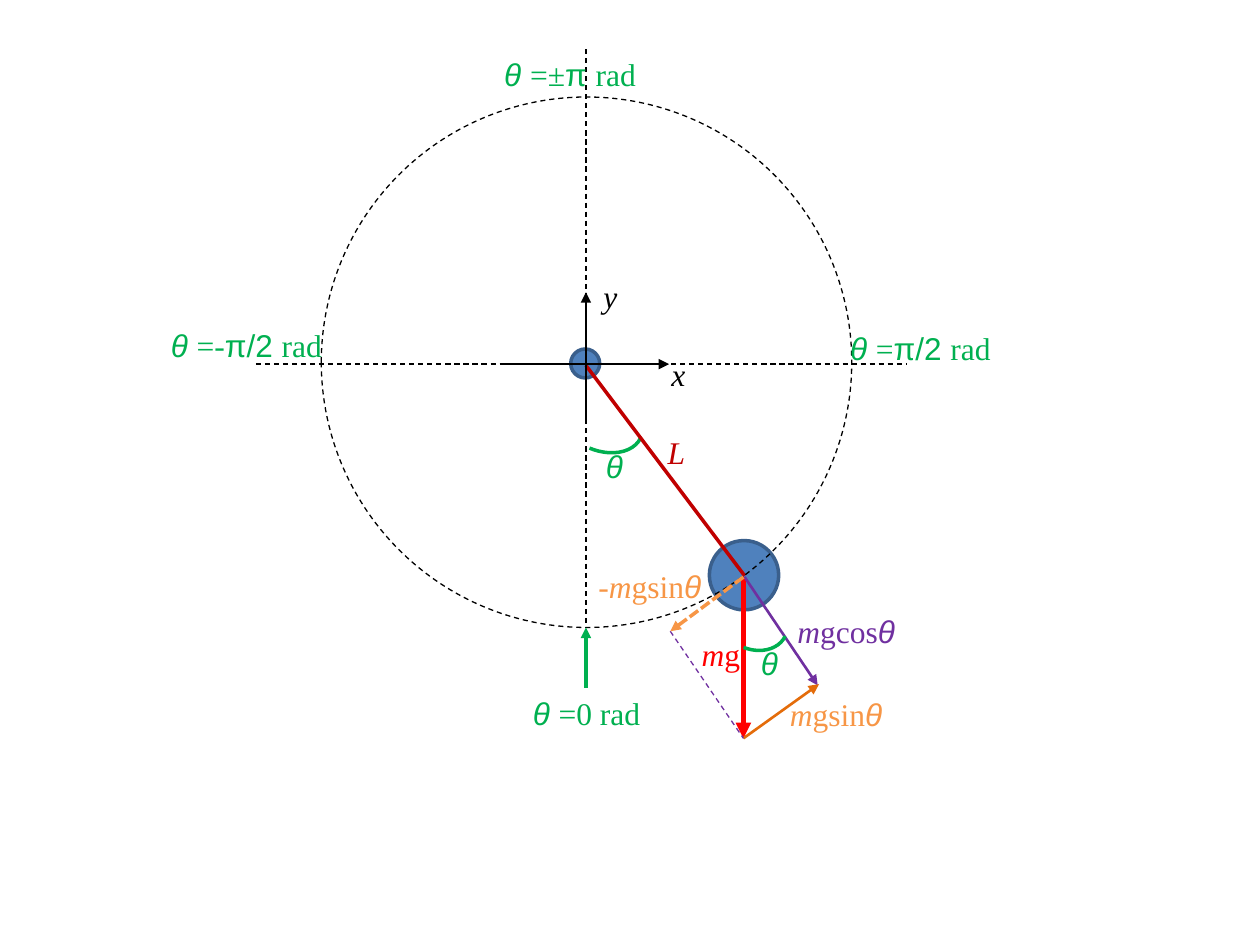
from pptx import Presentation, util as u
from pptx.dml.color import RGBColor
from pptx.enum import dml, shapes, text
from pptx.oxml import parse_xml
from pptx.oxml.ns import nsdecls

GREEN, RED, DARK_RED = "00B050", "FF0000", "C00000"
PURPLE, ORANGE, DARK_ORANGE = "7030A0", "F79646", "E46C0A"
BLACK, BLUE, DARK_BLUE = "000000", "4F81BD", "3A5F8C"
SERIF, SANS = "Times New Roman", "Arial"
DASH, SHORT_DASH = dml.MSO_LINE.DASH, dml.MSO_LINE.SQUARE_DOT
THETA = ("θ", SANS, True)
THETA_GAP = ("θ ", SANS, True)
RAD = ("rad", SERIF, False)


def paint(target, color):
    target.rgb = RGBColor.from_string(color)


def style_line(line, color, width, dash=None):
    line.fill.solid()
    paint(line.fill.fore_color, color)
    line.width = u.Pt(width)
    if dash:
        line.dash_style = dash


def add_line(page, origin, start, end, color, width, dash=None, arrow=False):
    x, y = origin
    points = [u.Inches(v) for v in (x + start[0], y + start[1], x + end[0], y + end[1])]
    connector = page.shapes.add_connector(shapes.MSO_CONNECTOR.STRAIGHT, *points)
    style_line(connector.line, color, width, dash)
    properties = connector._element.spPr
    if arrow:
        outline = connector.line._get_or_add_ln()
        outline.append(parse_xml(f'<a:tailEnd {nsdecls("a")} type="triangle"/>'))
    properties.append(parse_xml(f'<a:effectLst {nsdecls("a")}/>'))


def add_outline(page, kind, origin, place, color, width, fill=None, dash=None):
    left, top, wide, high = place
    shape = page.shapes.add_shape(
        kind, u.Inches(origin[0] + left), u.Inches(origin[1] + top),
        u.Inches(wide), u.Inches(high))
    shape.shadow.inherit = False
    if fill:
        shape.fill.solid()
        paint(shape.fill.fore_color, fill)
    else:
        shape.fill.background()
    style_line(shape.line, color, width, dash)
    return shape


def add_circle(page, origin, left, top, size, color, width, fill=None, dash=None):
    add_outline(page, shapes.MSO_SHAPE.OVAL, origin, (left, top, size, size),
                color, width, fill, dash)


def add_label(page, origin, left, top, wide, color, spans, centered=False):
    box = page.shapes.add_textbox(
        u.Inches(origin[0] + left), u.Inches(origin[1] + top),
        u.Inches(wide), u.Inches(0.4))
    box.text_frame.word_wrap = True
    para = box.text_frame.paragraphs[0]
    para.alignment = text.PP_ALIGN.CENTER if centered else text.PP_ALIGN.LEFT
    for wording, font, italic in spans:
        span = para.add_run()
        span.text = wording
        span.font.name = font
        span.font.size = u.Pt(18)
        span.font.italic = italic
        paint(span.font.color, color)


def add_angle(page, origin, arc_place, label_place):
    arc = add_outline(page, shapes.MSO_SHAPE.ARC, origin, arc_place, GREEN, 2)
    arc.adjustments[0] = 162
    arc.adjustments[1] = 211.94
    arc.rotation = 115.8
    add_label(page, origin, *label_place, 0.39, GREEN, [THETA])


def draw_pendulum(page, pivot):
    add_circle(page, pivot, -0.12, -0.12, 0.23, DARK_BLUE, 2, BLUE)
    add_circle(page, pivot, 0.98, 1.4, 0.55, DARK_BLUE, 2, BLUE)
    add_angle(page, pivot, (-0.14, 0.07, 0.5, 0.72), (0.06, 0.61))
    add_line(page, pivot, (0, 0.01), (1.26, 1.68), DARK_RED, 2)
    add_label(page, pivot, 0.55, 0.5, 0.47, DARK_RED, [("L", SERIF, True)])


def draw_reference_circle(page, pivot):
    add_line(page, pivot, (0, -2.5), (0, 2.09), BLACK, 0.75, DASH)
    add_line(page, pivot, (-2.62, 0), (2.54, 0), BLACK, 0.75, DASH)
    add_circle(page, pivot, -2.1, -2.12, 4.21, BLACK, 0.75, dash=DASH)
    add_line(page, pivot, (0, 2.57), (0, 2.09), GREEN, 2, arrow=True)
    add_label(page, pivot, -0.58, 2.57, 1.17, GREEN,
              [THETA_GAP, ("=0 rad", SERIF, False)], True)
    for left, top, wide, sign, angle in (
            (1.99, -0.33, 1.33, "=", "π/2 "),
            (-3.4, -0.35, 1.41, "=-", "π/2 "),
            (-0.79, -2.5, 1.33, "=±", "π ")):
        spans = [THETA_GAP, (sign, SERIF, False), (angle, SANS, False), RAD]
        add_label(page, pivot, left, top, wide, GREEN, spans, True)


def draw_axes(page, pivot):
    for start, end, left, top, name in (
            ((-0.67, 0), (0.66, 0), 0.58, -0.12, "x"),
            ((0, 0.45), (0, -0.57), 0.04, -0.74, "y")):
        add_line(page, pivot, start, end, BLACK, 0.75, arrow=True)
        add_label(page, pivot, left, top, 0.47, BLACK, [(name, SERIF, True)])


def draw_forces(page, bob):
    weight, radial, tangent = (0, 1.28), (0.59, 0.86), (-0.58, 0.43)
    add_line(page, bob, (0, 0), weight, RED, 3, arrow=True)
    add_line(page, bob, (0.01, 0), radial, PURPLE, 1.5, arrow=True)
    add_line(page, bob, weight, (0.6, 0.85), DARK_ORANGE, 1.5, arrow=True)
    add_line(page, bob, tangent, weight, PURPLE, 0.75, DASH)
    add_line(page, bob, (0, 0), tangent, ORANGE, 2, SHORT_DASH, True)
    add_angle(page, bob, (-0.15, 0.06, 0.45, 0.57), (0.04, 0.48))
    for left, top, wide, color, mass, factor, angle in (
            (-0.43, 0.41, 0.63, RED, "m", "g", []),
            (0.33, 0.23, 1.25, PURPLE, "m", "gcos", [THETA]),
            (0.27, 0.89, 1.25, ORANGE, "m", "gsin", [THETA]),
            (-1.25, -0.13, 1.25, ORANGE, "-m", "gsin", [THETA])):
        spans = [(mass, SERIF, True), (factor, SERIF, False)] + angle
        add_label(page, bob, left, top, wide, color, spans)


deck = Presentation()
deck.slide_width, deck.slide_height = u.Inches(10), u.Inches(7.5)
slide = deck.slides.add_slide(deck.slide_layouts[6])
pivot_point, bob_point = (4.65, 2.89), (5.9, 4.58)
draw_pendulum(slide, pivot_point)
draw_reference_circle(slide, pivot_point)
draw_axes(slide, pivot_point)
draw_forces(slide, bob_point)
deck.save("out.pptx")
